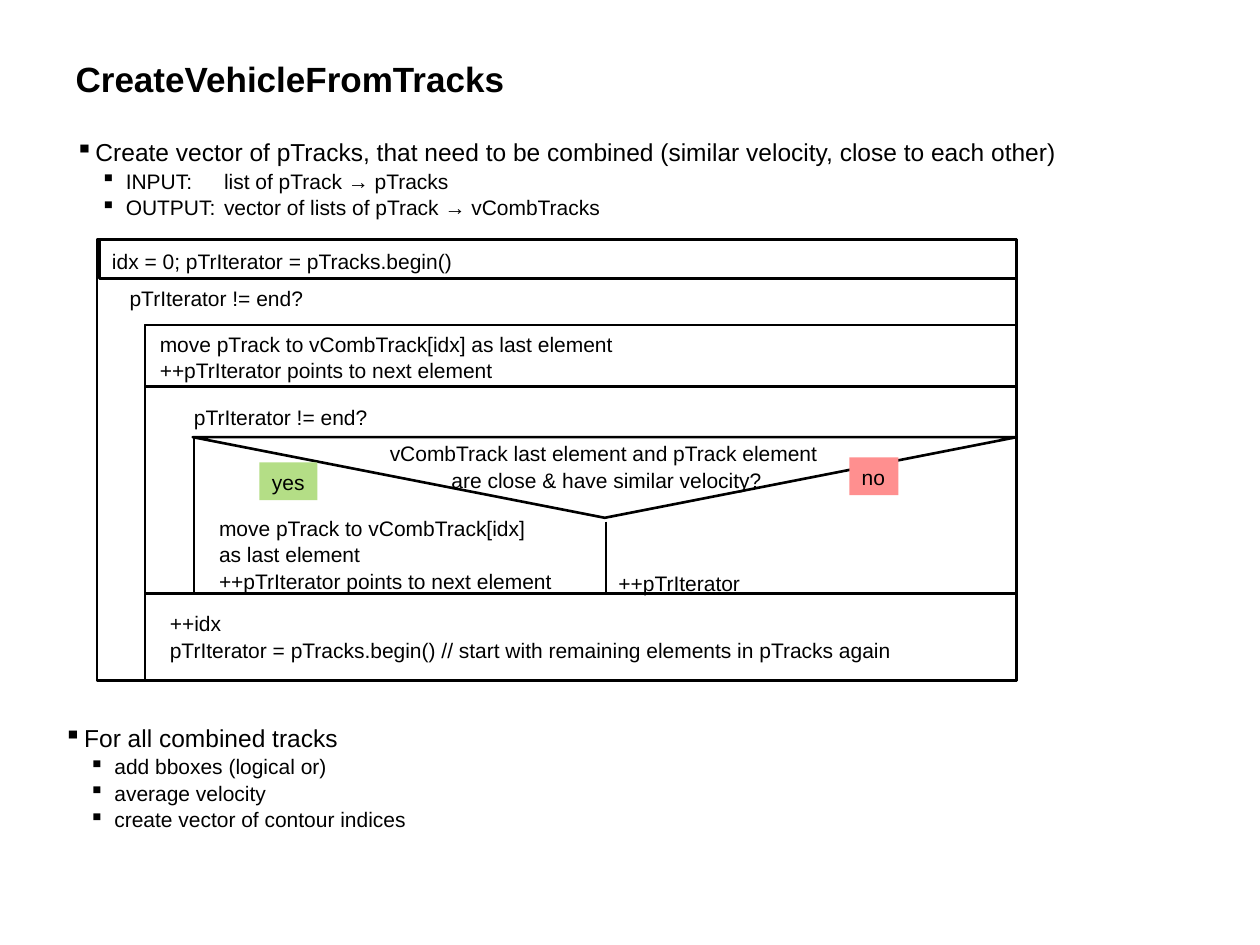
from lxml import etree
from pptx import Presentation
from pptx.dml.color import RGBColor
from pptx.enum import shapes, text
from pptx.oxml import ns
from pptx.util import Inches, Pt

COLORS = {"ink": "000000", "yes": "B4DE86", "no": "FF8F8F"}
FONT = "Arial"


class Diagram:
    """Style and current slide, with one method per kind of element."""

    def __init__(self, slide):
        self.slide = slide

    def color(self, name):
        return RGBColor.from_string(COLORS[name])

    def add_words(self, paragraph, words, size=12, bold=False):
        run = paragraph.add_run()
        run.text = words
        run.font.name, run.font.size, run.font.bold = FONT, Pt(size), bold
        run.font.color.rgb = self.color("ink")

    def title(self, words, box):
        title = self.slide.shapes.title
        title.left, title.top, title.width, title.height = map(Inches, box)
        frame = title.text_frame
        frame.vertical_anchor = text.MSO_ANCHOR.MIDDLE
        frame.paragraphs[0].alignment = text.PP_ALIGN.LEFT
        self.add_words(frame.paragraphs[0], words, 20, True)

    def fill_frame(self, frame, paragraphs, align=text.PP_ALIGN.LEFT):
        """Each paragraph is a string; a newline in it is a line break."""
        frame.word_wrap = False
        frame.auto_size = text.MSO_AUTO_SIZE.SHAPE_TO_FIT_TEXT
        for i, words in enumerate(paragraphs):
            paragraph = frame.add_paragraph() if i else frame.paragraphs[0]
            paragraph.alignment, paragraph.line_spacing = align, 1.05
            for j, line in enumerate(words.split("\n")):
                if j:
                    paragraph.add_line_break()
                self.add_words(paragraph, line)

    def label(self, box, *paragraphs, align=text.PP_ALIGN.LEFT):
        area = self.slide.shapes.add_textbox(*map(Inches, box))
        self.fill_frame(area.text_frame, paragraphs, align)

    def block(self, box, kind=shapes.MSO_SHAPE.RECTANGLE):
        block = self.slide.shapes.add_shape(kind, *map(Inches, box))
        block.shadow.inherit = False
        block.fill.background()
        block.line.color.rgb = self.color("ink")
        block.line.width = Pt(1.5)
        return block

    def tag(self, box, answer):
        tag = self.block(box)
        tag.fill.solid()
        tag.fill.fore_color.rgb = self.color(answer)
        tag.line.fill.background()
        self.fill_frame(tag.text_frame, [answer])

    def line(self, x1, y1, x2, y2):
        line = self.slide.shapes.add_connector(
            shapes.MSO_CONNECTOR.STRAIGHT, *map(Inches, (x1, y1, x2, y2)))
        line.line.color.rgb = self.color("ink")
        line.line.width = Pt(1.5)
        etree.SubElement(line._element.spPr, ns.qn("a:effectLst"))

    def bullets(self, box, heading, *items):
        frame = self.slide.shapes.add_textbox(*map(Inches, box)).text_frame
        frame.word_wrap = True
        for i, words in enumerate((heading, *items)):
            paragraph = frame.add_paragraph() if i else frame.paragraphs[0]
            paragraph.level = 1 if i else 0
            paragraph.line_spacing = 1.05
            paragraph.space_before = Pt(0 if i else 3)
            self.add_words(paragraph, words, 12 if i else 14)
            props = paragraph._p.get_or_add_pPr()
            props.set("marL", str(Inches(0.4 if i else 0.16)))
            props.set("indent", str(Inches(-0.2)))
            etree.SubElement(props, ns.qn("a:buChar"), char="▪")
            if i:
                tabs = etree.SubElement(props, ns.qn("a:tabLst"))
                etree.SubElement(tabs, ns.qn("a:tab"), pos=str(Inches(1.18)), algn="l")


prs = Presentation()
prs.slide_width, prs.slide_height = Inches(10), Inches(7.5)
chart = Diagram(prs.slides.add_slide(prs.slide_layouts[5]))

# Title and purpose
chart.title("CreateVehicleFromTracks", (0.5, 0.3, 9, 0.65))
chart.bullets(
    (0.5, 1.03, 9, 1.26),
    "Create vector of pTracks, that need to be combined (similar velocity, close to each other)",
    "INPUT: \tlist of pTrack → pTracks",
    "OUTPUT:\tvector of lists of pTrack → vCombTracks")

# Nested blocks, all ending at the same right edge
RIGHT = 8.07
for left, top, bottom in [
    (0.77, 1.9, 5.4),    # whole procedure
    (0.79, 1.9, 2.21),   # initialisation
    (1.15, 2.58, 4.71),  # outer loop
    (1.15, 2.58, 3.07),  # first move
    (1.54, 3.47, 4.71),  # inner loop
    (1.15, 4.71, 5.4),   # next index
]:
    chart.block((left, top, RIGHT - left, bottom - top))

# Decision
decision = chart.block((1.53, 3.47, 6.54, 0.64), shapes.MSO_SHAPE.ISOSCELES_TRIANGLE)
decision._element.spPr.xfrm.set("flipV", "1")
chart.line(4.81, 4.14, 4.81, 4.71)
chart.tag((2.06, 3.67, 0.46, 0.3), "yes")
chart.tag((6.74, 3.63, 0.39, 0.3), "no")
chart.label((2.98, 3.44, 3.67, 0.5),
            "vCombTrack last element and pTrack element \nare close & have similar velocity?",
            align=text.PP_ALIGN.CENTER)

# Steps
NEXT = "++pTrIterator points to next element"
chart.label((0.79, 1.91, 2.91, 0.3), "idx = 0; pTrIterator = pTracks.begin()")
for left, top in [(0.93, 2.21), (1.44, 3.15)]:
    chart.label((left, top, 1.59, 0.3), "pTrIterator != end?")
chart.label((1.17, 2.57, 3.83, 0.5), "move pTrack to vCombTrack[idx] as last element", NEXT)
chart.label((1.64, 4.03, 2.87, 0.71), "move pTrack to vCombTrack[idx]\nas last element", NEXT)
chart.label((4.81, 4.47, 1.18, 0.3), "++pTrIterator")
chart.label((1.25, 4.79, 5.93, 0.5), "++idx",
            "pTrIterator = pTracks.begin() // start with remaining elements in pTracks again")

# Follow-up
chart.bullets((0.41, 5.68, 9, 1.26), "For all combined tracks", "add bboxes (logical or)",
              "average velocity", "create vector of contour indices")

prs.save("out.pptx")
